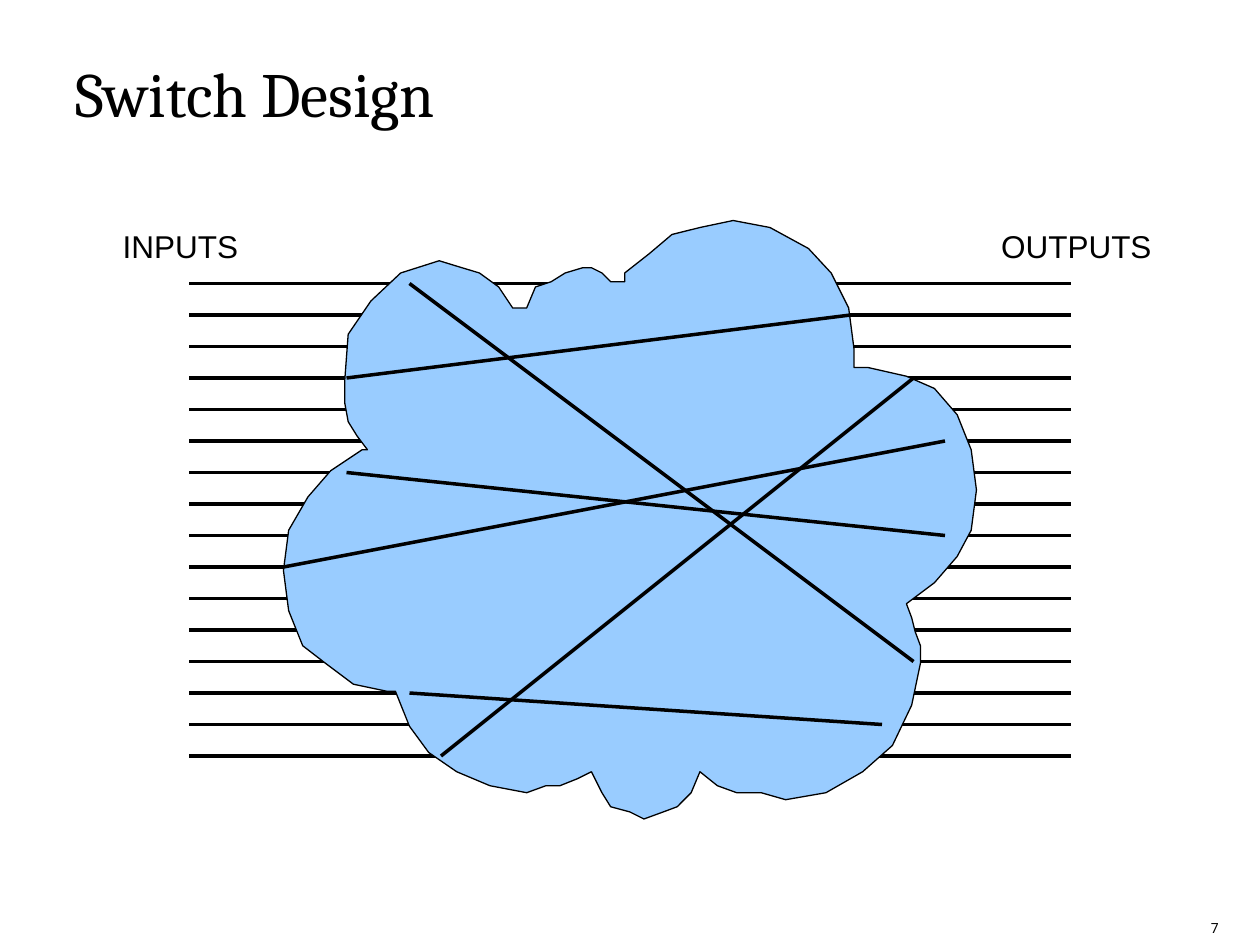
from lxml.etree import SubElement
from pptx import Presentation
from pptx.dml.color import RGBColor
from pptx.enum.shapes import MSO_CONNECTOR as Link
from pptx.enum.text import MSO_ANCHOR as Anchor, MSO_AUTO_SIZE as Fit, PP_ALIGN as Align
from pptx.oxml.ns import qn
from pptx.util import Pt

BLACK = "000000"
SKY = "99CCFF"
STEP = 18
ROWS = 16
EDGE = [
    (356, 219), (359, 227), (361, 235), (364, 243), (364, 253), (359, 277),
    (348, 300), (331, 315), (310, 327), (287, 331), (273, 327), (259, 327),
    (248, 323), (238, 315), (233, 327), (225, 335), (217, 338), (206, 342),
    (198, 338), (187, 335), (182, 327), (176, 315), (168, 319), (158, 323),
    (150, 323), (139, 327), (118, 323), (99, 315), (83, 304), (72, 289),
    (64, 269), (59, 269), (40, 265), (24, 253), (11, 243), (3, 223),
    (0, 200), (3, 177), (14, 158), (27, 143), (45, 131), (48, 131),
    (42, 123), (37, 115), (35, 104), (35, 92), (37, 65), (50, 46),
    (67, 30), (89, 23), (102, 27), (112, 30), (123, 38), (131, 50),
    (139, 50), (144, 38), (153, 35), (161, 30), (171, 27), (176, 27),
    (182, 30), (187, 35), (195, 35), (195, 30), (209, 19), (222, 8),
    (238, 4), (257, 0), (278, 4), (300, 16), (313, 30), (323, 50),
    (326, 73), (326, 84), (334, 84), (356, 89), (372, 96), (385, 111),
    (393, 131), (396, 154), (393, 177), (385, 192), (372, 207),
]
PATHS = [
    (126, 0, 414, 12), (90, 3, 378, 1), (54, 9, 432, 5),
    (90, 6, 432, 8), (126, 13, 396, 14), (144, 15, 414, 3),
]


def color(code):
    """Turn a hex string into a colour."""
    return RGBColor.from_string(code)


def write(shape, text, size=18, font="Arial", code=BLACK, align=Align.LEFT, anchor=Anchor.TOP):
    """Set the text of a shape and its format."""
    frame = shape.text_frame
    frame.word_wrap = True
    frame.auto_size = Fit.NONE
    frame.vertical_anchor = anchor
    frame.text = text
    para = frame.paragraphs[0]
    para.alignment = align
    para.font.size = Pt(size)
    para.font.name = font
    para.font.color.rgb = color(code)


def label(slide, box, text, **form):
    """Add a text box with one label."""
    write(slide.shapes.add_textbox(*map(Pt, box)), text, **form)


def wire(slide, x1, y1, x2, y2):
    """Draw a black hairline without a shadow."""
    line = slide.shapes.add_connector(Link.STRAIGHT, Pt(x1), Pt(y1), Pt(x2), Pt(y2))
    line.line.color.rgb = color(BLACK)
    line.line.width = Pt(0)
    SubElement(line._element.spPr, qn("a:effectLst"))


def title(slide, box, text):
    """Place the title at the foot of its box."""
    shape = slide.shapes.title
    shape.left, shape.top, shape.width, shape.height = map(Pt, box)
    write(shape, text, size=36, font="Cambria", anchor=Anchor.BOTTOM)


def cloud(slide, left, top):
    """Draw the cloud outline from its top left corner."""
    pen = slide.shapes.build_freeform(*EDGE[0], scale=Pt(1))
    pen.add_line_segments(EDGE[1:], close=True)
    shape = pen.convert_to_shape(Pt(left), Pt(top))
    shape.shadow.inherit = False
    shape.fill.solid()
    shape.fill.fore_color.rgb = color(SKY)
    shape.line.color.rgb = color(BLACK)
    shape.line.width = Pt(0)


def switch(slide, left, top, width):
    """Draw the port wires, the cloud and the paths through it."""
    for row in range(ROWS):
        y = top + row * STEP
        wire(slide, left, y, left + width, y)
    cloud(slide, left + 54, top - 36)
    label(slide, (left - 45, top - 36, 84, 29), "INPUTS")
    label(slide, (left + width - 47, top - 36, 104, 29), "OUTPUTS")
    for x1, start, x2, end in PATHS:
        wire(slide, left + x1, top + start * STEP, left + x2, top + end * STEP)


def main():
    """Build and save the slide."""
    deck = Presentation()
    deck.slide_width, deck.slide_height = Pt(720), Pt(540)
    slide = deck.slides.add_slide(deck.slide_layouts[5])
    title(slide, (36, -7, 432, 85), "Switch Design")
    switch(slide, 108, 162, 504)
    label(slide, (644.5, 522, 59, 19), "7", size=8, font="Roboto", align=Align.RIGHT)
    deck.save("out.pptx")


if __name__ == "__main__":
    main()
